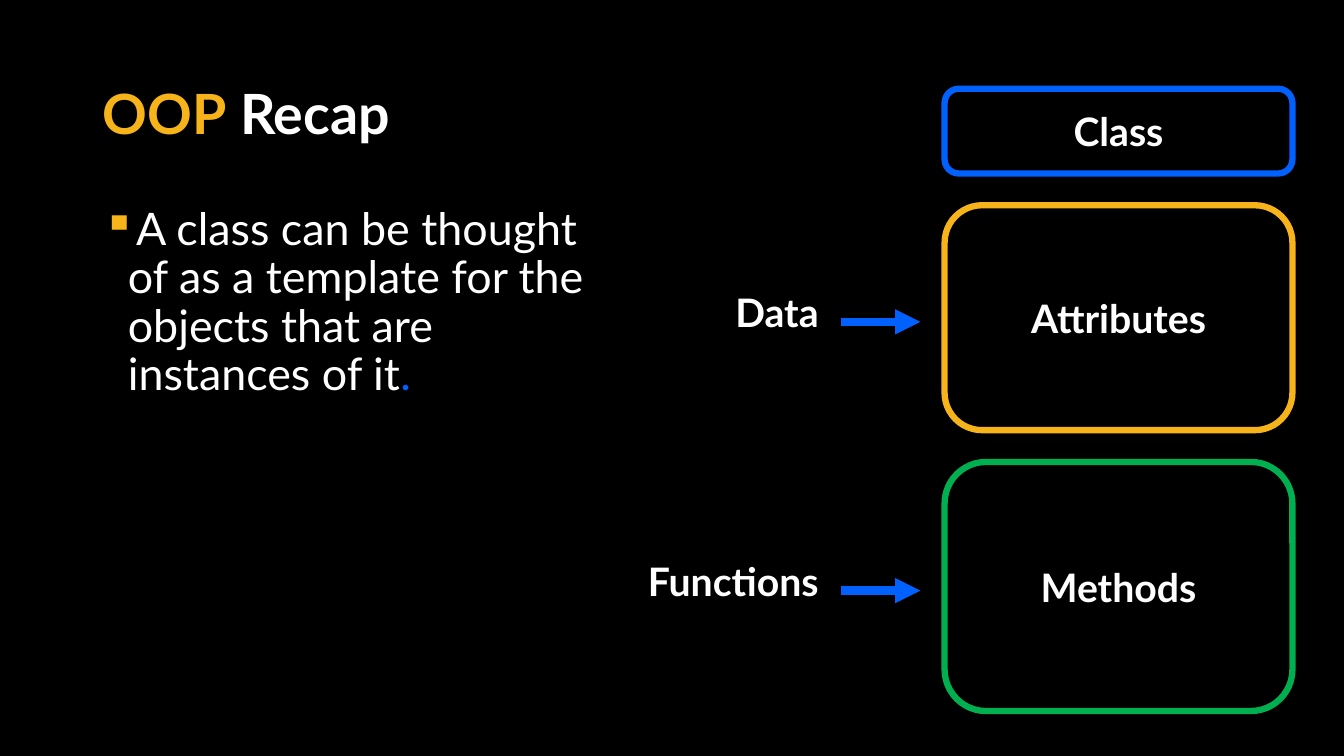
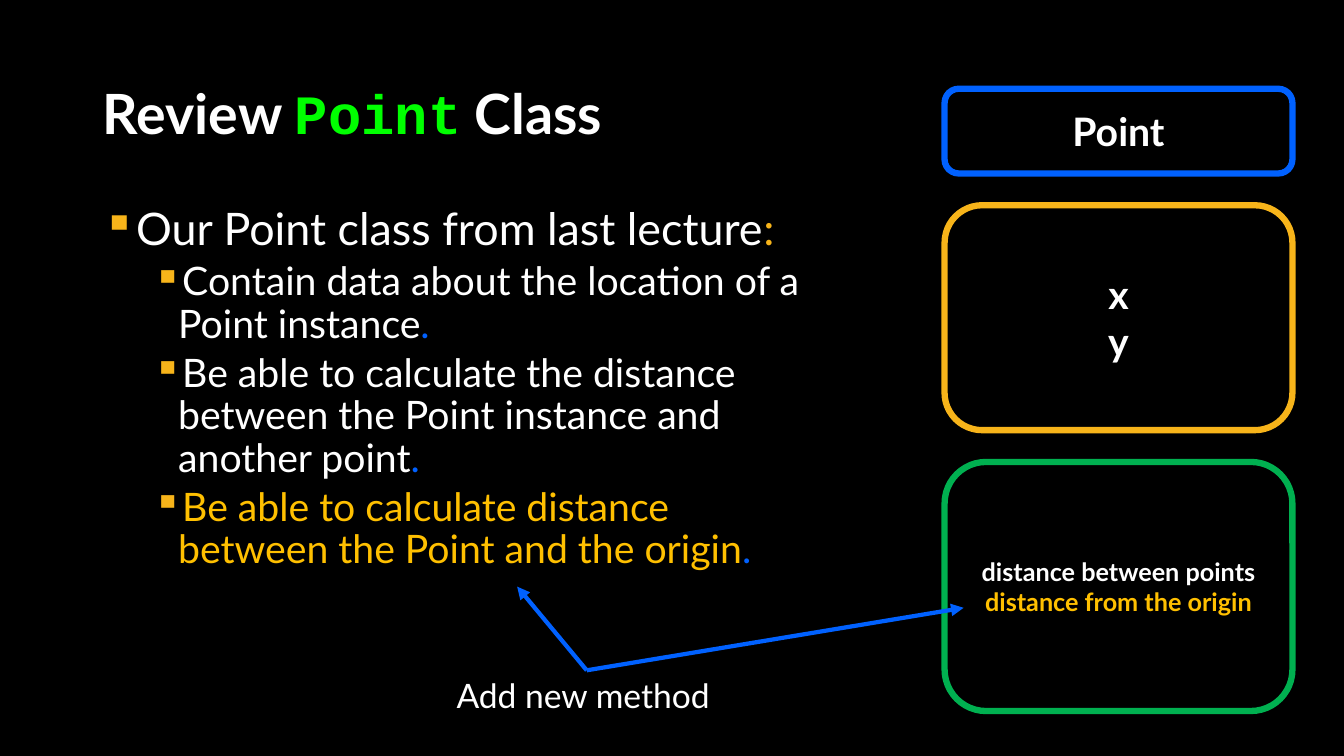
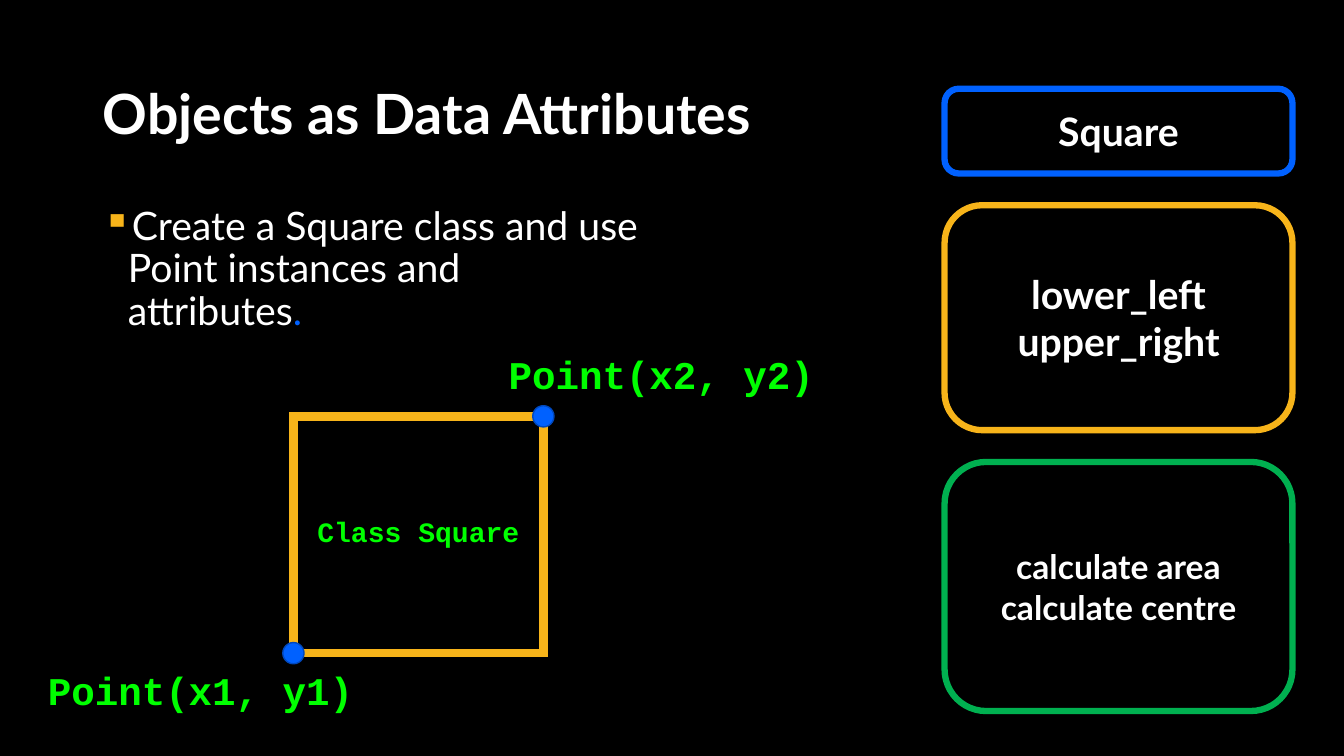
from dataclasses import dataclass

from lxml import etree
from pptx import Presentation
from pptx import util as u
from pptx.dml import color
from pptx.enum import shapes, text
from pptx.oxml import ns


@dataclass(frozen=True)
class Theme:
    wide: float = 13.33
    high: float = 7.5
    sans: str = "Lato"
    mono: str = "Courier New"
    back: str = "000000"
    white: str = "FFFFFF"
    gold: str = "F7B41A"
    amber: str = "FFC000"
    blue: str = "0061FF"
    navy: str = "0048BD"
    green: str = "00B050"
    lime: str = "00FF00"
    title: float = 39.6
    large: int = 32
    mid: int = 28
    small: int = 24
    code: int = 20
    tiny: int = 18


T = Theme()
LEFT = 6.9
STACK_X, STACK_W = 70.28, 25.88
STACK_TOP, STACK_GAP = 11.75, 4.2
STACK = [(11.2, T.blue), (29.75, T.gold), (32.95, T.green)]
ALIGN = text.PP_ALIGN
SHAPE = shapes.MSO_SHAPE


def across(share):
    return u.Inches(T.wide * share / 100)


def down(share):
    return u.Inches(T.high * share / 100)


def place(x, y, w, h):
    return across(x), down(y), across(w), down(h)


def tint(code):
    return color.RGBColor.from_string(code)


def add_runs(para, runs, size, bold=True):
    for words, hue, face in runs:
        run = para.add_run()
        run.text = words
        font = run.font
        font.name, font.size, font.bold = face, u.Pt(size), bold
        font.color.rgb = tint(hue)


def plain(words, hue=T.white, face=T.sans):
    return words, hue, face


def add_lines(frame, lines, size, align, bold=True):
    for i, runs in enumerate(lines):
        para = frame.add_paragraph() if i else frame.paragraphs[0]
        para.alignment = align
        add_runs(para, runs, size, bold)


def add_slide(deck, runs):
    slide = deck.slides.add_slide(deck.slide_layouts[5])
    title = slide.shapes.title
    title.left, title.top, title.width, title.height = place(LEFT, 10.67, 86.25, 9.6)
    frame = title.text_frame
    frame.auto_size = text.MSO_AUTO_SIZE.NONE
    frame.vertical_anchor = text.MSO_ANCHOR.MIDDLE
    frame.paragraphs[0].line_spacing = 0.9
    add_lines(frame, [runs], T.title, ALIGN.LEFT)
    return slide


def add_bullets(slide, width, items):
    frame = slide.shapes.add_textbox(*place(LEFT, 26.67, width, 70.53)).text_frame
    frame.word_wrap = True
    for i, (level, size, runs) in enumerate(items):
        para = frame.add_paragraph() if i else frame.paragraphs[0]
        para.level, para.line_spacing = level, 0.9
        para.space_before = u.Pt(5 if level else 10)
        props = para._p.get_or_add_pPr()
        props.set("marL", str(u.Inches(0.25 + level * 0.5)))
        props.set("indent", str(u.Inches(-0.25)))
        hue = etree.SubElement(props, ns.qn("a:buClr"))
        etree.SubElement(hue, ns.qn("a:srgbClr"), val=T.gold)
        etree.SubElement(props, ns.qn("a:buChar"), char="▪")
        add_runs(para, runs, size, False)


def add_form(slide, kind, box, line, weight, fill=None):
    form = slide.shapes.add_shape(kind, *box)
    form.shadow.inherit = False
    if fill:
        form.fill.solid()
        form.fill.fore_color.rgb = tint(fill)
    else:
        form.fill.background()
    form.line.color.rgb = tint(line)
    form.line.width = u.Pt(weight)
    if kind == SHAPE.RECTANGLE:
        etree.SubElement(form.line._ln, ns.qn("a:miter"), lim="800000")
    return form


def add_stack(slide, parts):
    top, mids = STACK_TOP, []
    for (high, hue), (size, lines) in zip(STACK, parts):
        box = place(STACK_X, top, STACK_W, high)
        form = add_form(slide, SHAPE.ROUNDED_RECTANGLE, box, hue, 4.5)
        form.text_frame.vertical_anchor = text.MSO_ANCHOR.MIDDLE
        add_lines(form.text_frame, lines, size, ALIGN.CENTER)
        mids.append(top + high / 2)
        top += high + STACK_GAP
    return mids


def add_label(slide, box, run, size, align, bold=True):
    frame = slide.shapes.add_textbox(*place(*box)).text_frame
    frame.word_wrap = False
    frame.auto_size = text.MSO_AUTO_SIZE.SHAPE_TO_FIT_TEXT
    add_lines(frame, [[run]], size, align, bold)


def add_arrow(slide, start, end, weight):
    ends = across(start[0]), down(start[1]), across(end[0]), down(end[1])
    arrow = slide.shapes.add_connector(shapes.MSO_CONNECTOR.STRAIGHT, *ends)
    arrow.line.color.rgb = tint(T.blue)
    arrow.line.width = u.Pt(weight)
    etree.SubElement(arrow.line._ln, ns.qn("a:tailEnd"), type="triangle")
    etree.SubElement(arrow._element.spPr, ns.qn("a:effectLst"))


def add_dot(slide, x, y):
    wide = 1.58
    high = wide * T.wide / T.high
    box = place(x - wide / 2, y - high / 2, wide, high)
    add_form(slide, SHAPE.OVAL, box, T.navy, 1, T.blue)


def build_recap(deck):
    slide = add_slide(deck, [plain("OOP", T.gold), plain(" Recap")])
    add_bullets(slide, 39.83, [
        (0, T.large, [
            plain("A class can be thought of as a template for the objects that are instances of it"),
            plain(".", T.blue)]),
    ])
    names = ["Class", "Attributes", "Methods"]
    mids = add_stack(slide, [(T.mid, [[plain(name)]]) for name in names])
    edge = 61.65
    for mid, name, wide in zip(mids[1:], ["Data", "Functions"], [8.03, 14.93]):
        y = mid + 0.55
        add_label(slide, (edge - wide, y - 5.07, wide, 7.6), plain(name), T.mid, ALIGN.RIGHT)
        add_arrow(slide, (62.55, y), (68.48, y), 6)


def build_point(deck):
    slide = add_slide(deck, [
        plain("Review "), plain("Point", T.lime, T.mono), plain(" Class")])
    tasks = [
        ("Contain data about the location of a Point instance", T.white),
        ("Be able to calculate the distance between the Point instance and another point", T.white),
        ("Be able to calculate distance between the Point and the origin", T.amber),
    ]
    head = (0, T.large, [plain("Our Point class from last lecture"), plain(":", T.gold)])
    add_bullets(slide, 54.84, [head] + [
        (1, T.mid, [plain(words, hue), plain(".", T.blue)]) for words, hue in tasks])
    add_stack(slide, [
        (T.mid, [[plain("Point")]]),
        (T.mid, [[plain("x")], [plain("y")]]),
        (T.tiny, [[plain("distance between points")],
                  [plain("distance from the origin", T.amber)]]),
    ])
    x, y, wide = 33.23, 88.67, 20.85
    add_label(slide, (x, y, wide, 6.67), plain("Add new method"), T.small, ALIGN.LEFT, False)
    for tip in [(38.48, 77.6), (71.7, 80.4)]:
        add_arrow(slide, (x + wide / 2, y), tip, 3)


def build_square(deck):
    slide = add_slide(deck, [plain("Objects as Data Attributes")])
    add_bullets(slide, 41.56, [
        (0, T.mid, [
            plain("Create a Square class and use Point instances and attributes"),
            plain(".", T.blue)]),
    ])
    x, y, wide, high = 21.83, 55.07, 18.6, 31.33
    add_form(slide, SHAPE.RECTANGLE, place(x, y, wide, high), T.gold, 6)
    add_dot(slide, x, y + high)
    add_dot(slide, x + wide, y)
    labels = [
        ("Class Square", T.code, (x + 0.97, y + 12.27, wide - 1.94, 5.87)),
        ("Point(x1, y1)", T.mid, (2.7, 87.47, 24.45, 7.6)),
        ("Point(x2, y2)", T.mid, (36.98, 45.73, 24.45, 7.6)),
    ]
    for words, size, box in labels:
        add_label(slide, box, plain(words, T.lime, T.mono), size, ALIGN.CENTER)
    add_stack(slide, [
        (T.mid, [[plain("Square")]]),
        (T.mid, [[plain("lower_left")], [plain("upper_right")]]),
        (T.small, [[plain("calculate area")], [plain("calculate centre")]]),
    ])


def main():
    deck = Presentation()
    deck.slide_width, deck.slide_height = across(100), down(100)
    fill = deck.slide_master.background.fill
    fill.solid()
    fill.fore_color.rgb = tint(T.back)
    for build in (build_recap, build_point, build_square):
        build(deck)
    deck.save("out.pptx")


if __name__ == "__main__":
    main()
